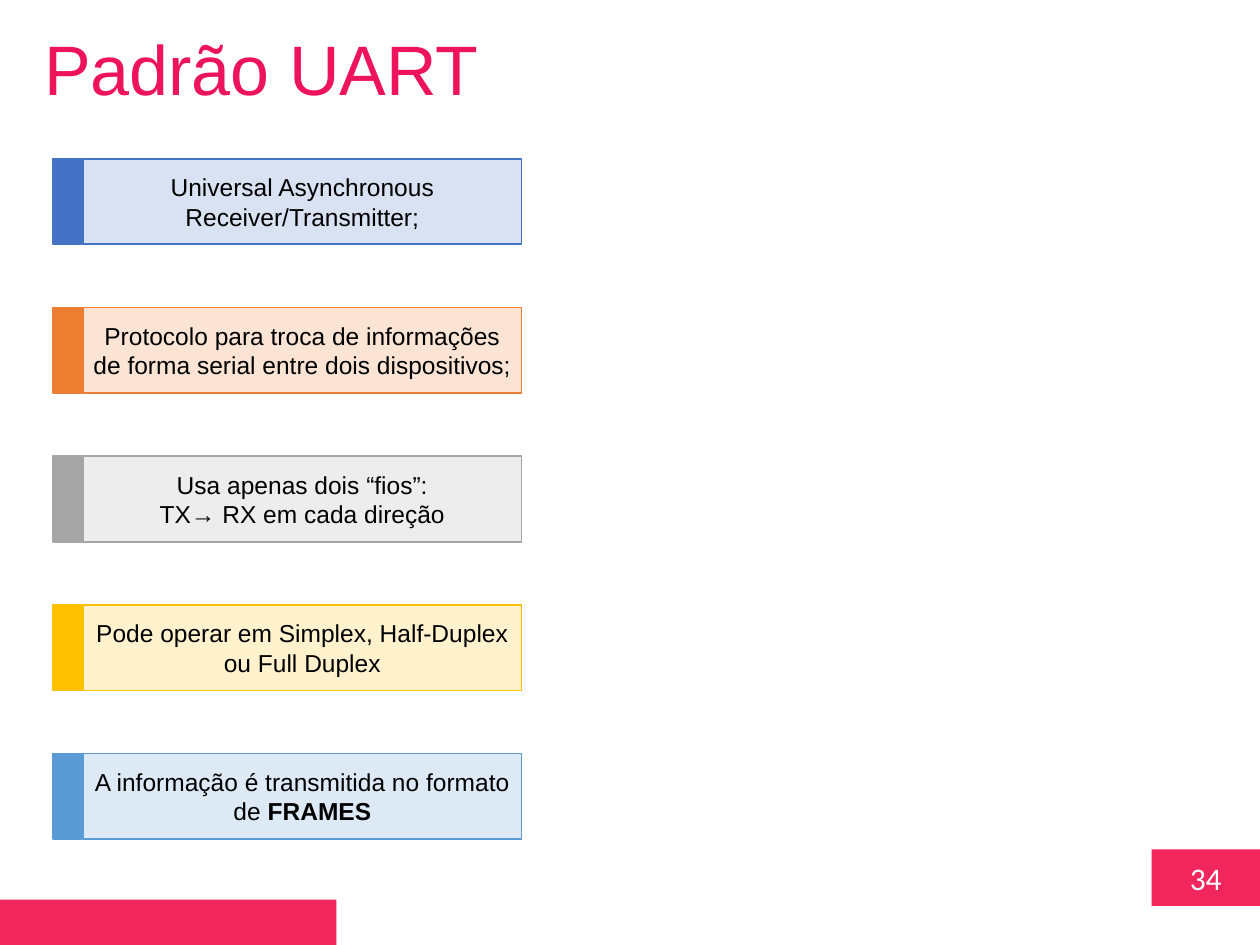
"""Build the slide that introduces the UART standard."""
from typing import NamedTuple

from pptx import Presentation
from pptx.dml.color import RGBColor
from pptx.enum.shapes import MSO_SHAPE
from pptx.enum.text import MSO_ANCHOR, PP_ALIGN
from pptx.util import Inches, Pt

RECTANGLE = MSO_SHAPE.RECTANGLE
TOP, MIDDLE = MSO_ANCHOR.TOP, MSO_ANCHOR.MIDDLE
LEFT, CENTER = PP_ALIGN.LEFT, PP_ALIGN.CENTER
TITLE_ONLY = 5
BRAND = "F0265D"
FIRST_TOP, TOPIC_STEP, TOPIC_HEIGHT = 1.26, 1.18, 0.68


class Topic(NamedTuple):
    accent: str
    tint: str
    lines: tuple[str, ...]
    emphasis: str = ""


TOPICS = (
    Topic("4472C4", "D8E2F3", ("Universal Asynchronous Receiver/Transmitter;",)),
    Topic("ED7D31", "FBE4D4",
          ("Protocolo para troca de informações de forma serial entre dois dispositivos;",)),
    Topic("A5A5A5", "EDEDED", ("Usa apenas dois “fios”:", "TX→ RX em cada direção")),
    Topic("FFC000", "FFF2CC", ("Pode operar em Simplex, Half-Duplex ou Full Duplex",)),
    Topic("5B9BD5", "DDEAF6", ("A informação é transmitida no formato de ",), "FRAMES"),
)


def color(value: str) -> RGBColor:
    return RGBColor.from_string(value)


def write(shape, *lines: str, emphasis: str = "", size: float = 14, font: str = "Arial",
          fill: str = "000000", align=CENTER, anchor=MIDDLE,
          margins: tuple[float, float] = (0.1, 0.05)) -> None:
    frame = shape.text_frame
    frame.word_wrap = True
    frame.vertical_anchor = anchor
    frame.margin_left = frame.margin_right = Inches(margins[0])
    frame.margin_top = frame.margin_bottom = Inches(margins[1])
    frame.text = "\n".join(lines)
    if emphasis:
        run = frame.paragraphs[-1].add_run()
        run.text = emphasis
        run.font.bold = True
    for paragraph in frame.paragraphs:
        paragraph.alignment = align
        for run in paragraph.runs:
            run.font.size = Pt(size)
            run.font.name = font
            run.font.color.rgb = color(fill)


def add_box(shapes, left: float, top: float, width: float, height: float,
            fill: str, line: str = ""):
    shape = shapes.add_shape(RECTANGLE, Inches(left), Inches(top), Inches(width), Inches(height))
    shape.shadow.inherit = False
    shape.fill.solid()
    shape.fill.fore_color.rgb = color(fill)
    if line:
        shape.line.color.rgb = color(line)
        shape.line.width = Pt(1)
    else:
        shape.line.fill.background()
    return shape


def add_topic(slide, topic: Topic, top: float) -> None:
    shapes = slide.shapes.add_group_shape().shapes
    panel = add_box(shapes, 0.66, top, 3.48, TOPIC_HEIGHT, topic.tint, topic.accent)
    write(panel, *topic.lines, emphasis=topic.emphasis, margins=(0.07, 0.04))
    add_box(shapes, 0.42, top, 0.23, TOPIC_HEIGHT, topic.accent, topic.accent)


def main() -> None:
    presentation = Presentation()
    presentation.slide_width, presentation.slide_height = Inches(10), Inches(7.5)
    slide = presentation.slides.add_slide(presentation.slide_layouts[TITLE_ONLY])

    title = slide.shapes.title
    title.left, title.top = Inches(0.25), Inches(0.15)
    title.width, title.height = Inches(8.45), Inches(0.77)
    write(title, "Padrão UART", size=40, fill="ED145B", align=LEFT, anchor=TOP)

    page_number = add_box(slide.shapes, 9.14, 6.74, 0.86, 0.45, BRAND)
    write(page_number, "34", size=18, font="Calibri", fill="FFFFFF")
    add_box(slide.shapes, 0, 7.14, 2.67, 0.36, BRAND)

    for index, topic in enumerate(TOPICS):
        add_topic(slide, topic, FIRST_TOP + index * TOPIC_STEP)

    presentation.save("out.pptx")


if __name__ == "__main__":
    main()
